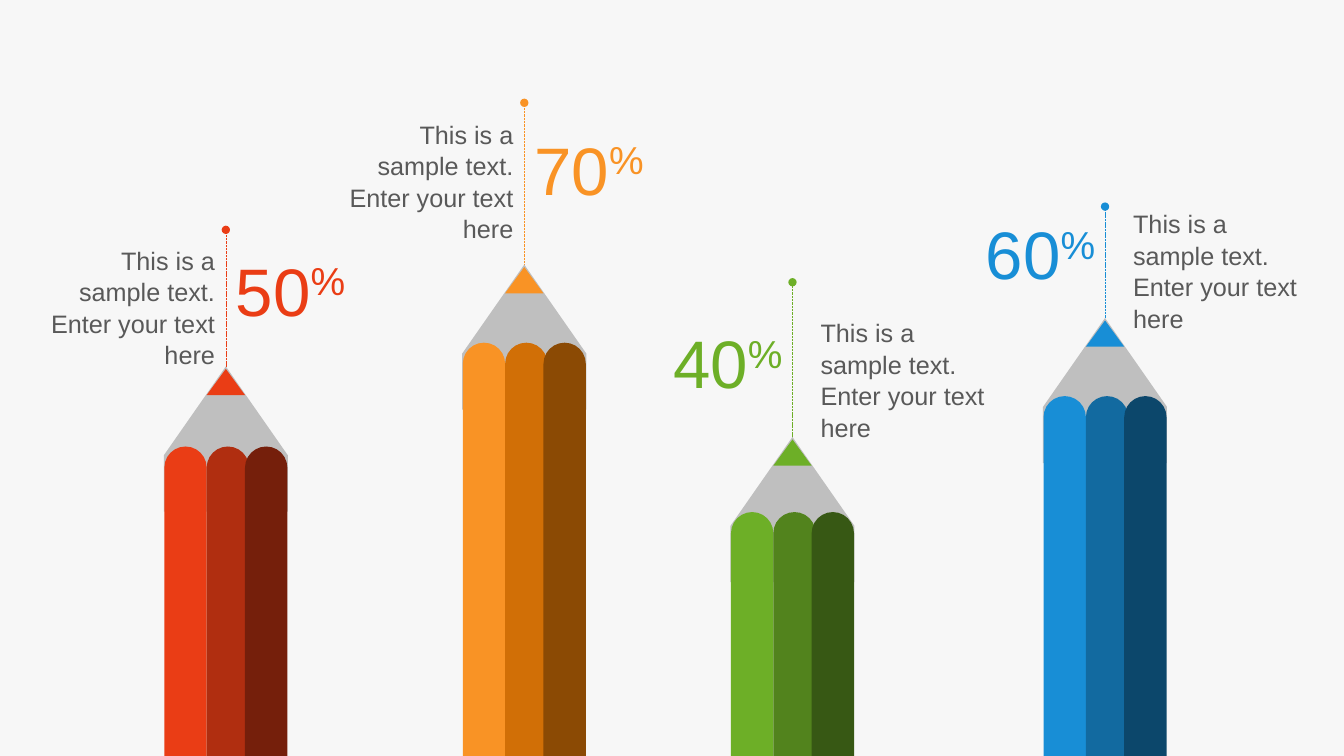
from dataclasses import dataclass

from lxml import etree
from pptx import Presentation
from pptx import util as u
from pptx.dml.color import RGBColor
from pptx.enum import dml, shapes, text
from pptx.oxml import ns


@dataclass(frozen=True)
class Theme:
    font: str = "Arial"
    background: str = "F7F7F7"
    wood: str = "BFBFBF"
    caption: str = "595959"
    red: tuple = ("EA3D15", "B02E10", "751F0B")
    orange: tuple = ("F99325", "D16F06", "8B4A04")
    green: tuple = ("6DAF27", "52831D", "375814")
    blue: tuple = ("188ED6", "126AA0", "0C476B")
    caption_size: int = 18
    share_size: int = 48


@dataclass(frozen=True)
class Pencil:
    share: str
    shades: tuple
    axis: float
    pin_top: float
    tip_top: float
    barrel_top: float
    caption_top: float
    share_top: float
    caption_on_left: bool


THEME = Theme()
SLIDE_WIDTH, SLIDE_HEIGHT = 13.33, 7.5
CAPTION = "This is a sample text. Enter your text here"
PENCILS = (
    Pencil("50", THEME.red, 2.24, 2.28, 3.66, 4.43, 2.37, 2.42, True),
    Pencil("70", THEME.orange, 5.2, 1.02, 2.65, 3.4, 1.12, 1.22, True),
    Pencil("40", THEME.green, 7.86, 2.8, 4.36, 5.08, 3.09, 3.14, False),
    Pencil("60", THEME.blue, 10.96, 2.05, 3.18, 3.93, 2.01, 2.06, False),
)


def rgb(value):
    return RGBColor.from_string(value)


def add_solid(group, kind, box, color, adjustments=()):
    shape = group.shapes.add_shape(kind, *map(u.Inches, box))
    shape.shadow.inherit = False
    shape.fill.solid()
    shape.fill.fore_color.rgb = rgb(color)
    shape.line.fill.background()
    for index, value in enumerate(adjustments):
        shape.adjustments[index] = value
    return shape


def add_text(group, box, content, size, color, align):
    frame = group.shapes.add_textbox(*map(u.Inches, box)).text_frame
    frame.word_wrap = True
    frame.auto_size = text.MSO_AUTO_SIZE.SHAPE_TO_FIT_TEXT
    para = frame.paragraphs[0]
    para.alignment = align
    para.add_run().text = content
    para.font.name = THEME.font
    para.font.size = u.Pt(size)
    para.font.color.rgb = rgb(color)
    return para


def add_pin(group, axis, top, color):
    length = 1.65
    ends = (axis, top, axis, top + length)
    pin = group.shapes.add_connector(shapes.MSO_CONNECTOR.STRAIGHT, *map(u.Inches, ends))
    pin.line.color.rgb = rgb(color)
    pin.line.width = u.Pt(0.25)
    pin.line.dash_style = dml.MSO_LINE.SQUARE_DOT
    etree.SubElement(pin.line._get_or_add_ln(), ns.qn("a:headEnd"), type="oval")
    etree.SubElement(pin._element.spPr, ns.qn("a:effectLst"))


def add_body(group, box, barrel_top, shades):
    left, top, width, height = box
    axis, bottom = left + width / 2, top + height
    wood_box = (axis - 0.72, top + 0.08, 1.44, 1.23)
    wood = add_solid(group, shapes.MSO_SHAPE.PENTAGON, wood_box, THEME.wood, (0.717,))
    wood.rotation = 270
    tip_box = (axis - 0.19, top, 0.38, 0.26)
    add_solid(group, shapes.MSO_SHAPE.ISOSCELES_TRIANGLE, tip_box, shades[0])
    for offset, shade in zip((0, 0.42, 0.8), shades):
        side = (left + offset, barrel_top, 0.42, bottom - barrel_top)
        add_solid(group, shapes.MSO_SHAPE.ROUND_2_SAME_RECTANGLE, side, shade, (0.5, 0))


def add_labels(group, pencil):
    caption_width, share_width = 1.85, 1.59
    if pencil.caption_on_left:
        caption_left, share_left = pencil.axis - 0.01 - caption_width, pencil.axis
        caption_align, share_align = text.PP_ALIGN.RIGHT, text.PP_ALIGN.LEFT
    else:
        caption_left, share_left = pencil.axis + 0.18, pencil.axis - share_width
        caption_align, share_align = text.PP_ALIGN.LEFT, text.PP_ALIGN.RIGHT
    caption_box = (caption_left, pencil.caption_top, caption_width, 1.31)
    caption = add_text(group, caption_box, CAPTION, THEME.caption_size, THEME.caption, caption_align)
    caption.line_spacing = 1.04
    share_box = (share_left, pencil.share_top, share_width, 0.91)
    share = add_text(group, share_box, pencil.share, THEME.share_size, pencil.shades[0], share_align)
    percent = share.add_run()
    percent.text = "%"
    percent._r.get_or_add_rPr().set("baseline", "30000")


def add_pencil(page, pencil):
    group = page.shapes.add_group_shape()
    width = 1.22
    body_box = (pencil.axis - width / 2, pencil.tip_top, width, SLIDE_HEIGHT - pencil.tip_top)
    add_pin(group, pencil.axis, pencil.pin_top, pencil.shades[0])
    add_body(group, body_box, pencil.barrel_top, pencil.shades)
    add_labels(group, pencil)


def main():
    deck = Presentation()
    deck.slide_width = u.Inches(SLIDE_WIDTH)
    deck.slide_height = u.Inches(SLIDE_HEIGHT)
    page = deck.slides.add_slide(deck.slide_layouts[6])
    page.background.fill.solid()
    page.background.fill.fore_color.rgb = rgb(THEME.background)
    for pencil in PENCILS:
        add_pencil(page, pencil)
    deck.save("out.pptx")


if __name__ == "__main__":
    main()
